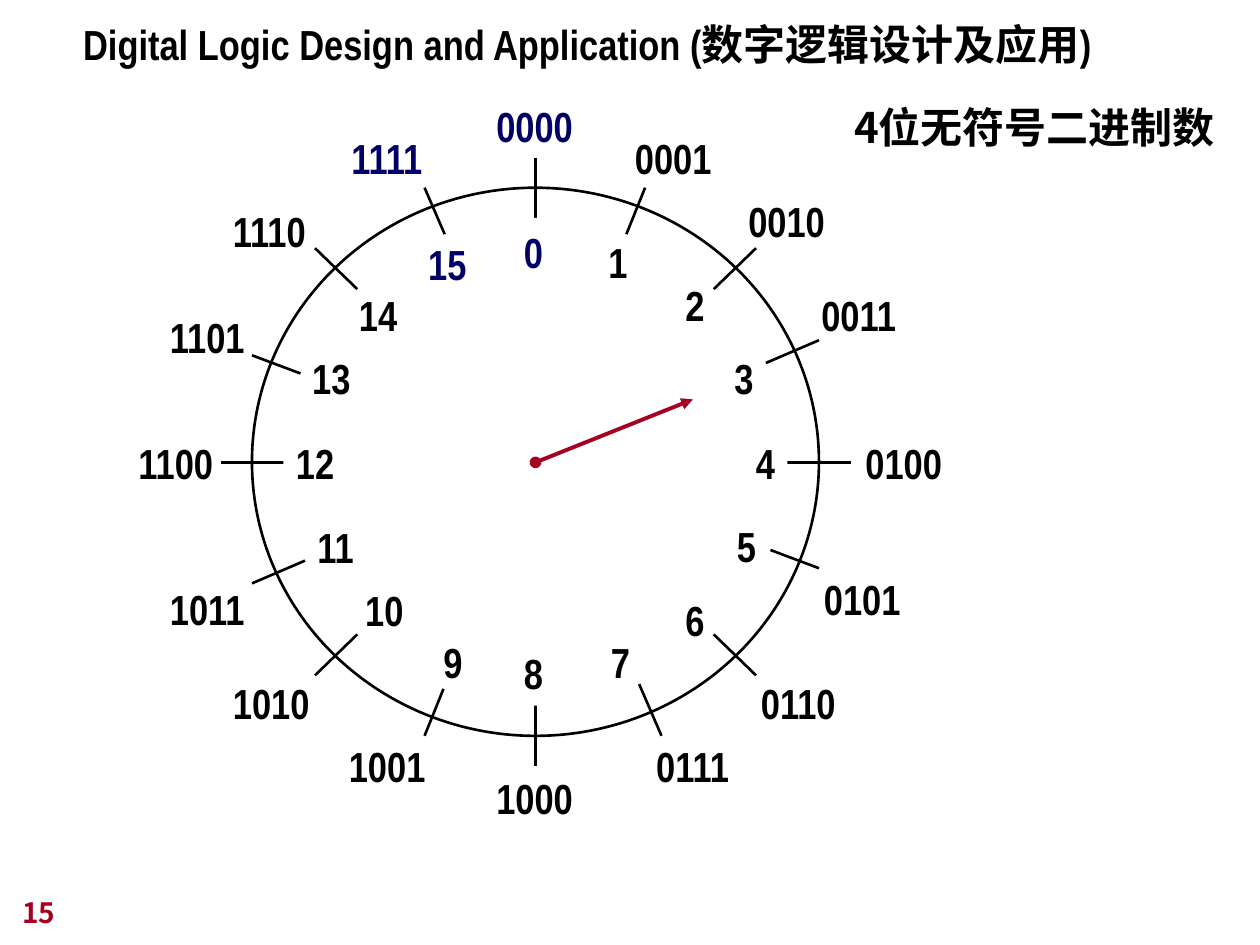
from lxml import etree
from pptx import Presentation
from pptx import util as u
from pptx.dml.color import RGBColor
from pptx.enum import shapes, text
from pptx.oxml.ns import qn

PX = 9144  # 100 px to the inch
THEME = {
    "ink": RGBColor.from_string("000000"),
    "paper": RGBColor.from_string("FFFFFF"),
    "navy": RGBColor.from_string("000066"),
    "red": RGBColor.from_string("A50021"),
    "latin": "Arial Narrow",
    "chinese": "Noto Sans CJK SC",
    "number": "Noto Sans CJK JP",
    "size": u.Pt(24),
    "small": u.Pt(16),
}


def write(box, words, color="ink", font="latin", size="size", **frame_format):
    """Put one bold, left-aligned line of text in a box."""
    frame = box.text_frame
    settings = {"word_wrap": False, "auto_size": text.MSO_AUTO_SIZE.SHAPE_TO_FIT_TEXT,
                "vertical_anchor": text.MSO_ANCHOR.TOP}
    for name, value in {**settings, **frame_format}.items():
        setattr(frame, name, value)
    para = frame.paragraphs[0]
    para.alignment = text.PP_ALIGN.LEFT
    span = para.add_run()
    span.text = words
    for name, value in {"name": THEME[font], "size": THEME[size], "bold": True}.items():
        setattr(span.font, name, value)
    span.font.color.rgb = THEME[color]
    east_asian = THEME["chinese"] if font == "latin" else THEME[font]
    etree.SubElement(span.font._element, qn("a:ea"), typeface=east_asian)


def draw_line(start, end, color="ink", width=1.5):
    line = page.shapes.add_connector(
        shapes.MSO_CONNECTOR.STRAIGHT, *(v * PX for v in (*start, *end)))
    line.line.color.rgb = THEME[color]
    line.line.width = u.Pt(width)
    etree.SubElement(line._element.spPr, qn("a:effectLst"))
    return line


deck = Presentation()
deck.slide_width, deck.slide_height = 1000 * PX, 750 * PX
page = deck.slides.add_slide(deck.slide_layouts[5])

title = page.shapes.title
for name, value in {"left": 56, "top": 10, "width": 837, "height": 50}.items():
    setattr(title, name, value * PX)
write(title, "Digital Logic Design and Application (数字逻辑设计及应用)")

# The inner disc hides the middle of the spokes, which leaves the tick marks.
spokes = [
    ((175, 367), (675, 367)), ((425, 125), (425, 608)),
    ((250, 197), (600, 536)), ((600, 197), (250, 536)),
    ((200, 282), (650, 451)), ((337, 149), (525, 584)),
    ((512, 149), (337, 584)), ((200, 463), (650, 270)),
]
discs = [((200, 149, 450, 435), True), ((225, 173, 400, 387), False)]
for place, is_rim in discs:
    disc = page.shapes.add_shape(shapes.MSO_SHAPE.OVAL, *(v * PX for v in place))
    disc.shadow.inherit = False
    disc.fill.solid()
    disc.fill.fore_color.rgb = THEME["paper"]
    if is_rim:
        disc.line.color.rgb = THEME["ink"]
        disc.line.width = u.Pt(1.5)
        for start, end in spokes:
            draw_line(start, end)
    else:
        disc.line.fill.background()

# Left and top of each label, clockwise from zero.
code_places = [
    (384, 75), (494, 100), (584, 150), (642, 225), (677, 342), (644, 450),
    (594, 533), (511, 583), (384, 608), (267, 583), (175, 533), (125, 458),
    (100, 342), (125, 242), (175, 158), (269, 100),
]
value_places = [
    (406, 175), (473, 183), (534, 217), (573, 275), (590, 342), (575, 408),
    (534, 467), (475, 500), (406, 509), (342, 500), (280, 459), (242, 409),
    (225, 342), (238, 275), (275, 225), (330, 184),
]
for value, (code_place, value_place) in enumerate(zip(code_places, value_places)):
    color = "navy" if value in (0, 15) else "ink"
    value_width = 35 if value < 10 else 54
    for words, place, width in ((f"{value:04b}", code_place, 81),
                                (str(value), value_place, value_width)):
        label = page.shapes.add_textbox(*(v * PX for v in (*place, width, 50)))
        write(label, words, color)

pointer = draw_line((425, 367), (550, 317), "red", 2.25)
stroke = pointer.line._get_or_add_ln()
etree.SubElement(stroke, qn("a:headEnd"), type="oval")
etree.SubElement(stroke, qn("a:tailEnd"), type="triangle")

caption = page.shapes.add_textbox(*(v * PX for v in (668, 76, 314, 50)))
write(caption, "4位无符号二进制数", font="chinese")

page_number = page.shapes.add_textbox(*(v * PX for v in (8, 692, 208, 50)))
write(page_number, "15", "red", "number", "small", word_wrap=True,
      auto_size=text.MSO_AUTO_SIZE.NONE, vertical_anchor=text.MSO_ANCHOR.BOTTOM)

deck.save("out.pptx")
